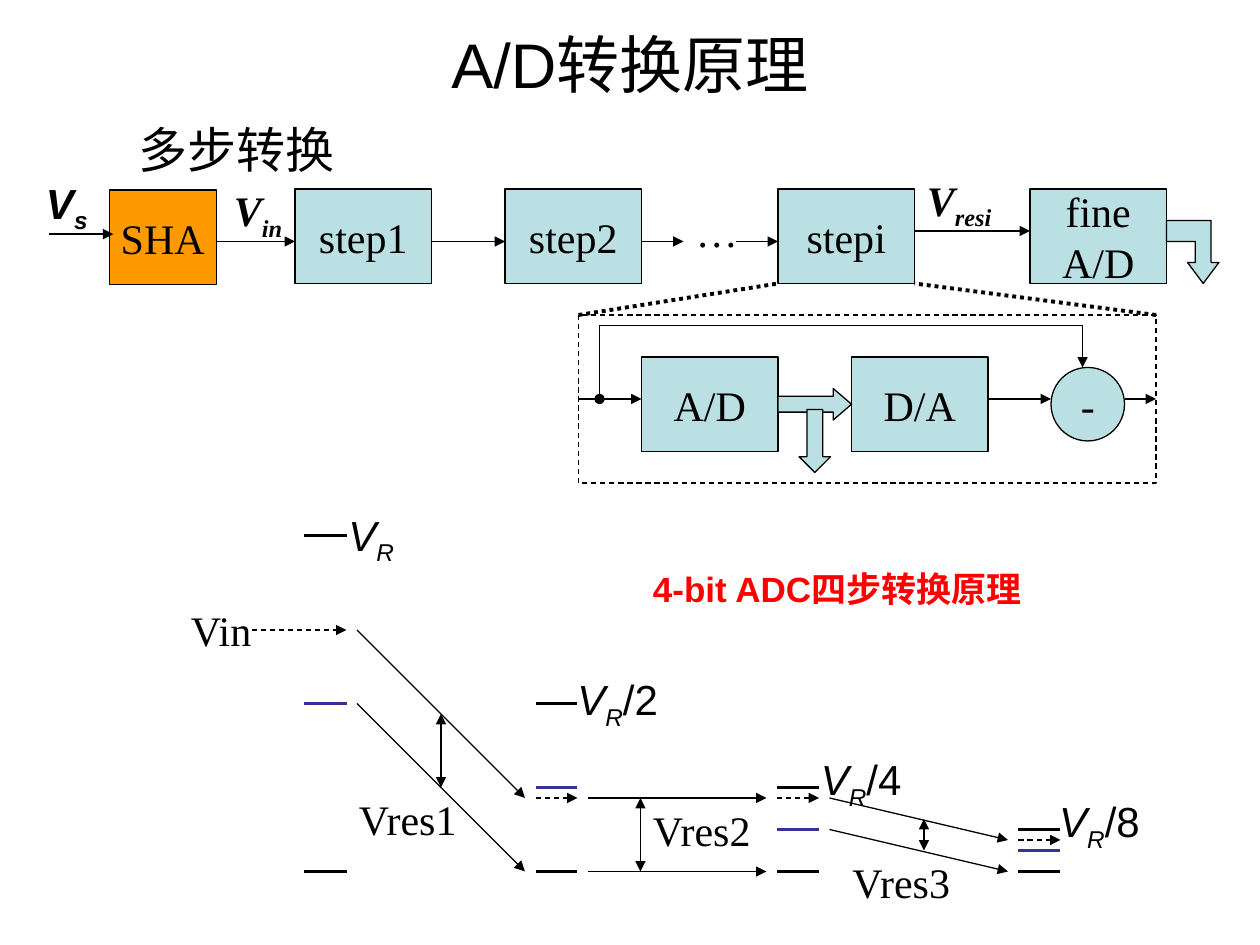
import dataclasses

import lxml.etree
import pptx
import pptx.dml.color
import pptx.enum.dml
import pptx.enum.shapes
import pptx.enum.text
import pptx.oxml.ns
import pptx.util

RGB = pptx.dml.color.RGBColor.from_string
SHAPE = pptx.enum.shapes.MSO_SHAPE
DASH = pptx.enum.dml.MSO_LINE.DASH
DOTS = pptx.enum.dml.MSO_LINE.ROUND_DOT
ALIGN = pptx.enum.text.PP_ALIGN
ANCHOR = pptx.enum.text.MSO_ANCHOR
qn = pptx.oxml.ns.qn


@dataclasses.dataclass(frozen=True)
class Theme:
    ink: str = "000000"
    block: str = "BBE0E3"
    hold: str = "FF9900"
    middle: str = "333399"
    accent: str = "FF0000"
    sans: str = "Arial"
    serif: str = "Times New Roman"
    title: int = 36
    heading: int = 28
    body: int = 24
    note: int = 20
    thin: float = 0.75
    thick: float = 2.25


T = Theme()


def grid(n):
    """Length of n grid steps, twelve to the inch."""
    return pptx.util.Cm(2.54 * n / 12)


class Region:
    """Draws parts at grid positions relative to its top left corner."""

    def __init__(self, shapes, left, top):
        self.shapes, self.left, self.top = shapes, left, top

    def at(self, x, y):
        return grid(self.left + x), grid(self.top + y)

    def fill_text(self, tf, paragraphs, size, color, align, **fmt):
        for i, runs in enumerate(paragraphs):
            p = tf.paragraphs[0] if i == 0 else tf.add_paragraph()
            p.alignment = align
            for text, extra in runs:
                r = p.add_run()
                r.text = text
                look = {"name": T.serif, "size": pptx.util.Pt(size), **fmt, **extra}
                base = look.pop("base", None)
                for key, value in look.items():
                    setattr(r.font, key, value)
                r.font.color.rgb = RGB(color)
                if base:
                    r.font._element.set("baseline", base)

    def text(self, x, y, w, h, runs, size=T.body, color=T.ink,
             align=ALIGN.LEFT, anchor=ANCHOR.TOP, **fmt):
        if isinstance(runs, str):
            runs = [(runs, {})]
        tf = self.shapes.add_textbox(*self.at(x, y), grid(w), grid(h)).text_frame
        tf.word_wrap = True
        tf.vertical_anchor = anchor
        self.fill_text(tf, [runs], size, color, align, **fmt)

    def paint(self, s, fill):
        s.shadow.inherit = False
        if fill:
            s.fill.solid()
            s.fill.fore_color.rgb = RGB(fill)
        else:
            s.fill.background()
        s.line.color.rgb = RGB(T.ink)
        s.line.width = pptx.util.Pt(T.thin)
        return s

    def block(self, x, y, w, h, *labels, kind=SHAPE.RECTANGLE, fill=T.block, adj=()):
        s = self.paint(self.shapes.add_shape(kind, *self.at(x, y), grid(w), grid(h)), fill)
        for i, value in enumerate(adj):
            s.adjustments[i] = value
        if labels:
            tf = s.text_frame
            tf.word_wrap = False
            tf.vertical_anchor = ANCHOR.MIDDLE
            self.fill_text(tf, [[(label, {})] for label in labels], T.body, T.ink, ALIGN.CENTER)
        return s

    def line(self, x1, y1, x2, y2, head=None, tail=None, color=T.ink, width=T.thin, dash=None):
        s = self.shapes.add_connector(pptx.enum.shapes.MSO_CONNECTOR.STRAIGHT,
                                      *self.at(x1, y1), *self.at(x2, y2))
        s.line.color.rgb = RGB(color)
        s.line.width = pptx.util.Pt(width)
        if dash:
            s.line.dash_style = dash
        sp_pr = s._element.spPr
        for tag, end in (("a:headEnd", head), ("a:tailEnd", tail)):
            if end:
                lxml.etree.SubElement(sp_pr.find(qn("a:ln")), qn(tag), type=end)
        lxml.etree.SubElement(sp_pr, qn("a:effectLst"))
        return s

    def arrow(self, x1, y1, x2, y2, **fmt):
        return self.line(x1, y1, x2, y2, tail="triangle", **fmt)


def symbol(sub, after=""):
    """Runs for V with a subscript and an upright ending."""
    runs = [("V", {"italic": True}), (sub, {"italic": True, "base": "-25000"})]
    return runs + [(after, {})] if after else runs


def headings(shapes):
    g = Region(shapes, 0, 0)
    g.text(9, 3, 102, 6, "A/D转换原理", T.title, align=ALIGN.CENTER,
           anchor=ANCHOR.MIDDLE, name=T.sans)
    g.text(12, 10.8, 22, 6.8, "多步转换", T.heading)
    g.text(61, 53.5, 41.6, 5.3, "4-bit ADC四步转换原理", T.note, T.accent,
           name=T.sans, bold=True)


def residue_levels(shapes, left, top):
    """Reference levels halving from step to step, with the residue passed on."""
    g = Region(shapes, left, top)
    base, span, width = 35, 32, 4
    columns = (12, 34, 57, 80)
    inputs = (12, 28, 28, 32)
    for i, (x, level) in enumerate(zip(columns, inputs)):
        full = span / 2 ** i
        for y, color in ((base - full, T.ink), (base, T.ink), (base - full / 2, T.middle)):
            g.line(x, y, x + width, y, color=color, width=T.thick)
        g.arrow(x if i else 7, level, x + width, level, dash=DASH)

    lower = (19, base, 31)
    for i, start in enumerate(lower):
        x1, x2 = columns[i] + width + 1, columns[i + 1] - 1
        g.arrow(x1, inputs[i], x2, inputs[i + 1])
        g.arrow(x1, start, x2, base)
    for x, y1, y2 in ((25, 27, 20), (44, 35, 28), (71, 33, 30)):
        g.arrow(x, y1, x, y2, head="triangle")

    for x, y, w, label in ((0, 9, 10, "Vin"), (16, 27, 13, "Vres1"),
                           (44, 28, 13, "Vres2"), (63, 33, 13, "Vres3")):
        g.text(x, y, w, 6, label)
    for x, y, after in ((15, -0.1, ""), (36.8, 15.6, "/2"), (60, 23.2, "/4"), (82.7, 27.2, "/8")):
        g.text(x, y, 12, 6.7, symbol("R", after), name=T.sans)


def pipeline(shapes, left, top):
    g = Region(shapes, left, top)
    for x, labels in ((24, ["step1"]), (44, ["step2"]), (70, ["stepi"]), (94, ["fine", "A/D"])):
        g.block(x, 0, 13, 9, *labels)
    for x1, x2, y in ((16, 24, 5), (37, 44, 5), (57, 61, 5), (66, 70, 5), (83, 94, 4)):
        g.arrow(x1, y, x2, y)
    g.text(61, 1, 7, 6, "…")

    outline = [(110.5, 9), (109, 7), (109.75, 7), (109.75, 5), (107, 5),
               (107, 3), (111.25, 3), (111.25, 7), (112, 7)]
    points = [g.at(x, y) for x, y in outline]
    builder = shapes.build_freeform(*points[0])
    builder.add_line_segments(points[1:], close=True)
    g.paint(builder.convert_to_shape(), T.block)

    g.block(6.3, 0.1, 10.2, 9, "SHA", fill=T.hold)
    g.arrow(0.6, 4.3, 6.7, 4.3)
    for x, y, w, sub, font in ((-0.9, -1.7, 10, "s", T.sans), (17, -1, 10, "in", T.serif),
                               (83, -2, 12, "resi", T.serif)):
        g.text(x, y, w, 6.7, symbol(sub), name=font, bold=True)


def step_detail(shapes, left, top, w, h):
    """Inside of one step, with the dotted lines that lead up to it."""
    g = Region(shapes, left, top)
    mid = h / 2
    frame = g.block(0, 0, w, h, fill=None)
    frame.line.dash_style = DASH
    g.block(6, 4, 13, 9, "A/D")
    g.block(26, 4, 13, 9, "D/A")
    g.block(45, 5, 7, 7, "-", kind=SHAPE.OVAL)
    g.arrow(0, mid, 6, mid).begin_connect(frame, 1)
    g.block(19, 7, 7, 3, kind=SHAPE.RIGHT_ARROW, adj=(0.5, 0.58))
    g.arrow(39, mid, 45, mid)
    g.line(2, mid, 2, 1, head="oval")
    g.line(2, 1, 48, 1)
    g.arrow(48, 1, 48, 5)
    g.block(21, 9, 3, 6, kind=SHAPE.DOWN_ARROW, adj=(0.5, 0.5))
    g.arrow(52, mid, w, mid).end_connect(frame, 3)
    for x1, x2 in ((0, 19), (w, 32)):
        g.line(x1, 0, x2, -3, width=T.thick, dash=DOTS)


def main():
    prs = pptx.Presentation()
    prs.slide_width, prs.slide_height = pptx.util.Cm(25.4), pptx.util.Cm(19.05)
    shapes = prs.slides.add_slide(prs.slide_layouts[6]).shapes
    headings(shapes)
    residue_levels(shapes, 17, 48)
    pipeline(shapes, 4.1, 18)
    step_detail(shapes, 55.1, 30, 55, 16)
    prs.save("out.pptx")


if __name__ == "__main__":
    main()
